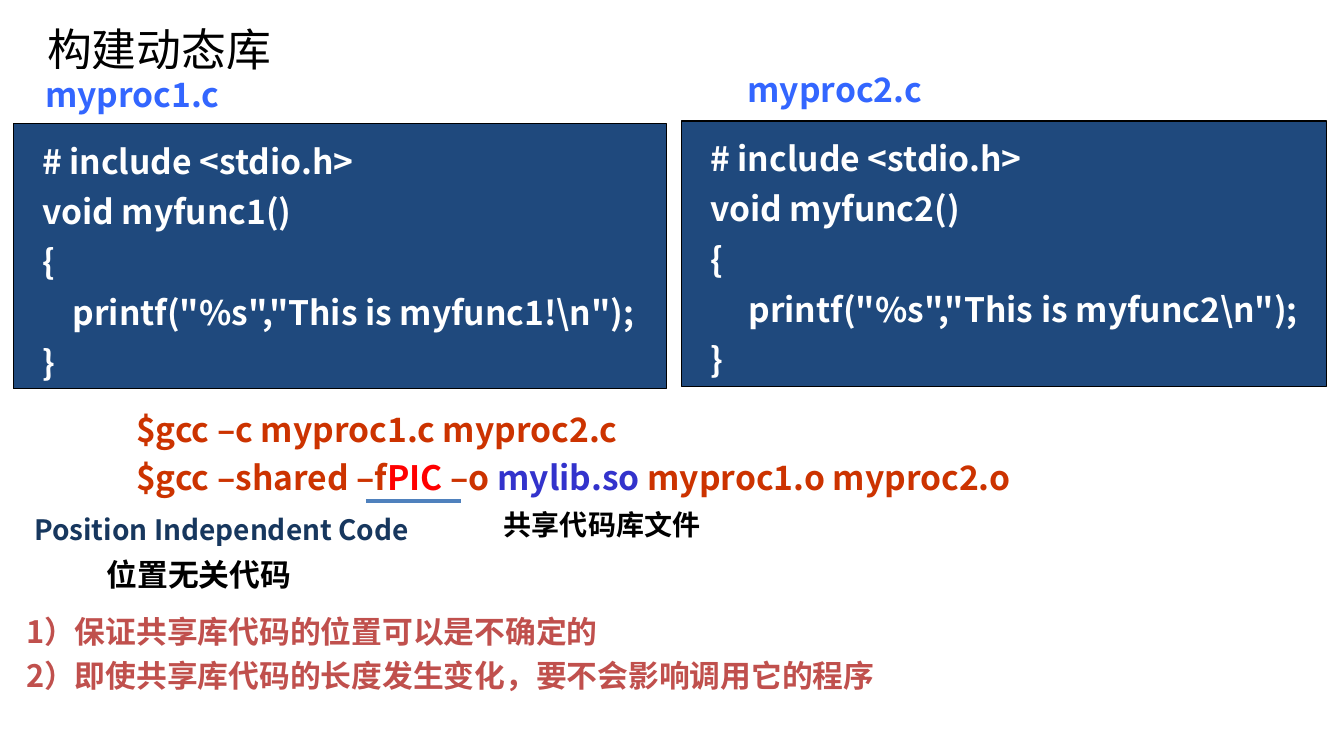
from pptx import Presentation
from pptx import util as u
from pptx.dml.color import RGBColor
from pptx.enum import shapes, text
from pptx.oxml.ns import qn
from lxml import etree

Cm, Pt = u.Cm, u.Pt
NOTO, CALIBRI = "Noto Sans CJK SC", "Calibri"


def rgb(value):
    return RGBColor.from_string(value)


def write(sp, lines, size, color, font=NOTO, bold=True, wrap=True,
          anchor=text.MSO_ANCHOR.TOP, spacing=None, indent=0, gap=0):
    """Fill a shape; each line is a list of (text, colour or None) runs."""
    tf = sp.text_frame
    tf.word_wrap = wrap
    tf.vertical_anchor = anchor
    for i, line in enumerate(lines):
        p = tf.paragraphs[0] if i == 0 else tf.add_paragraph()
        p.alignment = text.PP_ALIGN.LEFT
        if spacing:
            p.line_spacing = spacing
        if indent:
            p._p.get_or_add_pPr().set("indent", str(Cm(indent)))
        if i and gap:
            p.space_before = Pt(gap)
        for content, run_color in line:
            r = p.add_run()
            r.text = content
            r.font.size, r.font.bold, r.font.name = Pt(size), bold, font
            r.font.color.rgb = rgb(run_color or color)
            ea = etree.SubElement(r._r.get_or_add_rPr(), qn("a:ea"))
            ea.set("typeface", NOTO)


prs = Presentation()
prs.slide_width, prs.slide_height = Cm(33.87), Cm(19.05)
s = prs.slides.add_slide(prs.slide_layouts[6])

title = s.shapes.add_textbox(Cm(0.94), Cm(0.43), Cm(23), Cm(1.6))
write(title, [[("构建动态库", None)]], 32, "000000", CALIBRI, bold=False,
      anchor=text.MSO_ANCHOR.MIDDLE)

# Source files: name, code box (left, top, width), label (left, top), printf line
sources = [
    ("1", (0.33, 3.12, 16.46), (0.89, 1.75),
     r'    printf("%s","This is myfunc1!\n");'),
    ("2", (17.17, 3.05, 16.26), (18.59, 1.6),
     r'     printf("%s","This is myfunc2\n");'),
]
for number, (left, top, width), (label_left, label_top), printf in sources:
    box = s.shapes.add_shape(shapes.MSO_SHAPE.RECTANGLE,
                             Cm(left), Cm(top), Cm(width), Cm(6.68))
    box.shadow.inherit = False
    box.fill.solid()
    box.fill.fore_color.rgb = rgb("1F497D")
    box.line.color.rgb = rgb("000000")
    box.line.width = Pt(0.75)
    code = ["# include <stdio.h>", f"void myfunc{number}()", "{", printf, "}"]
    write(box, [[(line, None)] for line in code], 24, "FFFFFF",
          anchor=text.MSO_ANCHOR.MIDDLE, spacing=1.25, indent=0.48)

    label = s.shapes.add_textbox(Cm(label_left), Cm(label_top), Cm(4.95), Cm(1.27))
    label.line.color.rgb = rgb("FFFFFF")
    label.line.width = Pt(0.25)
    write(label, [[(f"myproc{number}.c", None)]], 24, "3366FF", wrap=False)

commands = s.shapes.add_textbox(Cm(2.44), Cm(9.96), Cm(24.2), Cm(2.72))
write(commands, [
    [("$gcc –c myproc1.c myproc2.c", None)],
    [("$gcc –shared –f", None), ("PIC", "FF0000"), (" –o ", None),
     ("mylib.so", "3333CC"), (" myproc1.o myproc2.o", None)],
], 24, "CC3300", wrap=False, anchor=text.MSO_ANCHOR.MIDDLE, spacing=1.2, indent=0.74)

captions = [
    ("Position Independent Code", (0.61, 12.78, 10.26, 1.12), 20, "17375E", NOTO),
    ("位置无关代码", (2.44, 13.87, 5.31, 1.19), 22, "000000", CALIBRI),
    ("共享代码库文件", (12.45, 12.67, 5.56, 1.09), 20, "000000", CALIBRI),
]
for caption, place, size, color, font in captions:
    sp = s.shapes.add_textbox(*map(Cm, place))
    write(sp, [[(caption, None)]], size, color, font, wrap=font == CALIBRI)

notes = s.shapes.add_textbox(Cm(0.41), Cm(15.32), Cm(27.1), Cm(2.62))
write(notes, [[("1）保证共享库代码的位置可以是不确定的", None)],
              [("2）即使共享库代码的长度发生变化，要不会影响调用它的程序", None)]],
      22, "C0504D", gap=5)

underline = s.shapes.add_connector(shapes.MSO_CONNECTOR.STRAIGHT,
                                   Cm(9.22), Cm(12.62), Cm(11.63), Cm(12.62))
underline.line.color.rgb = rgb("4F81BD")
underline.line.width = Pt(3)
etree.SubElement(underline._element.spPr, qn("a:effectLst"))

prs.save("out.pptx")
